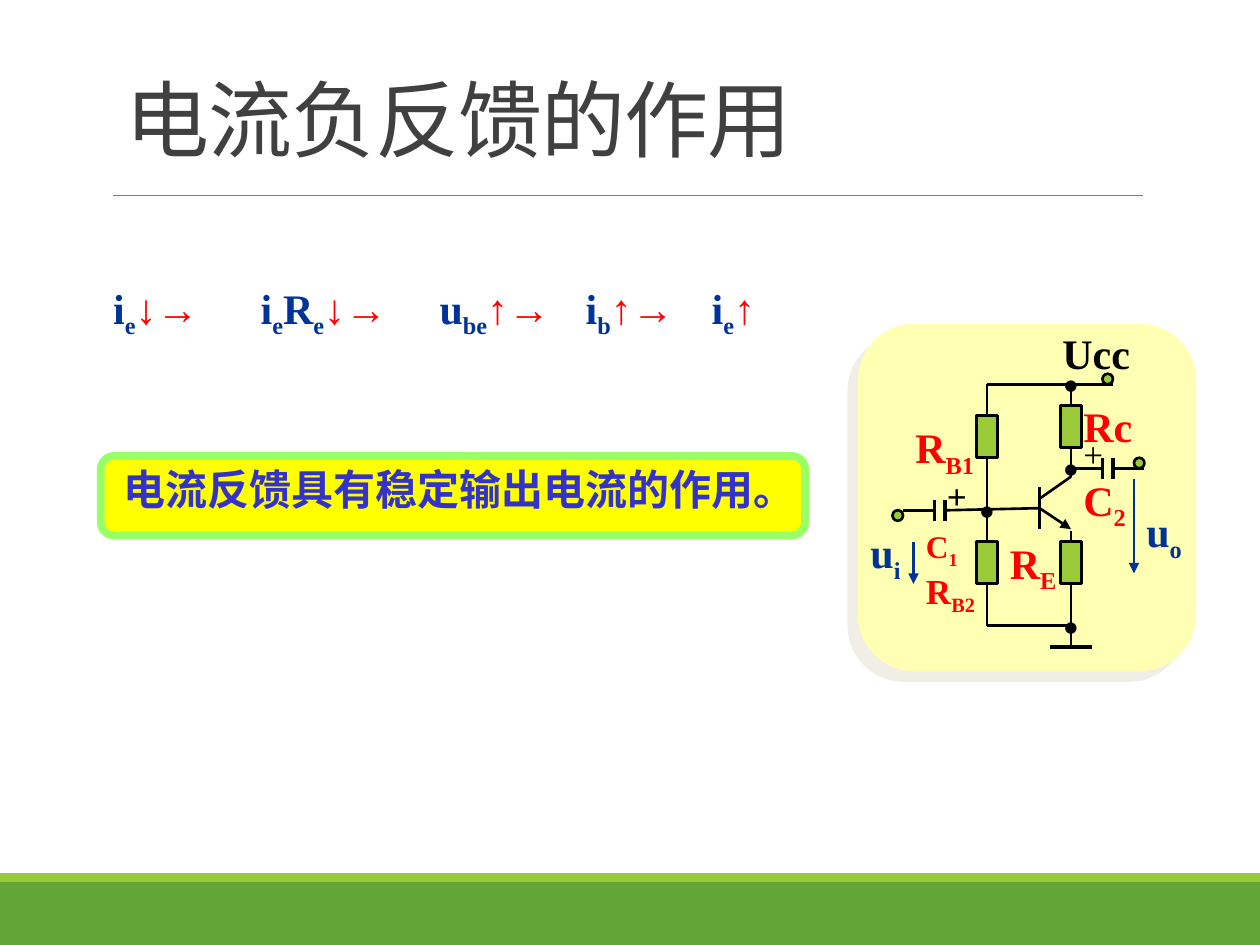
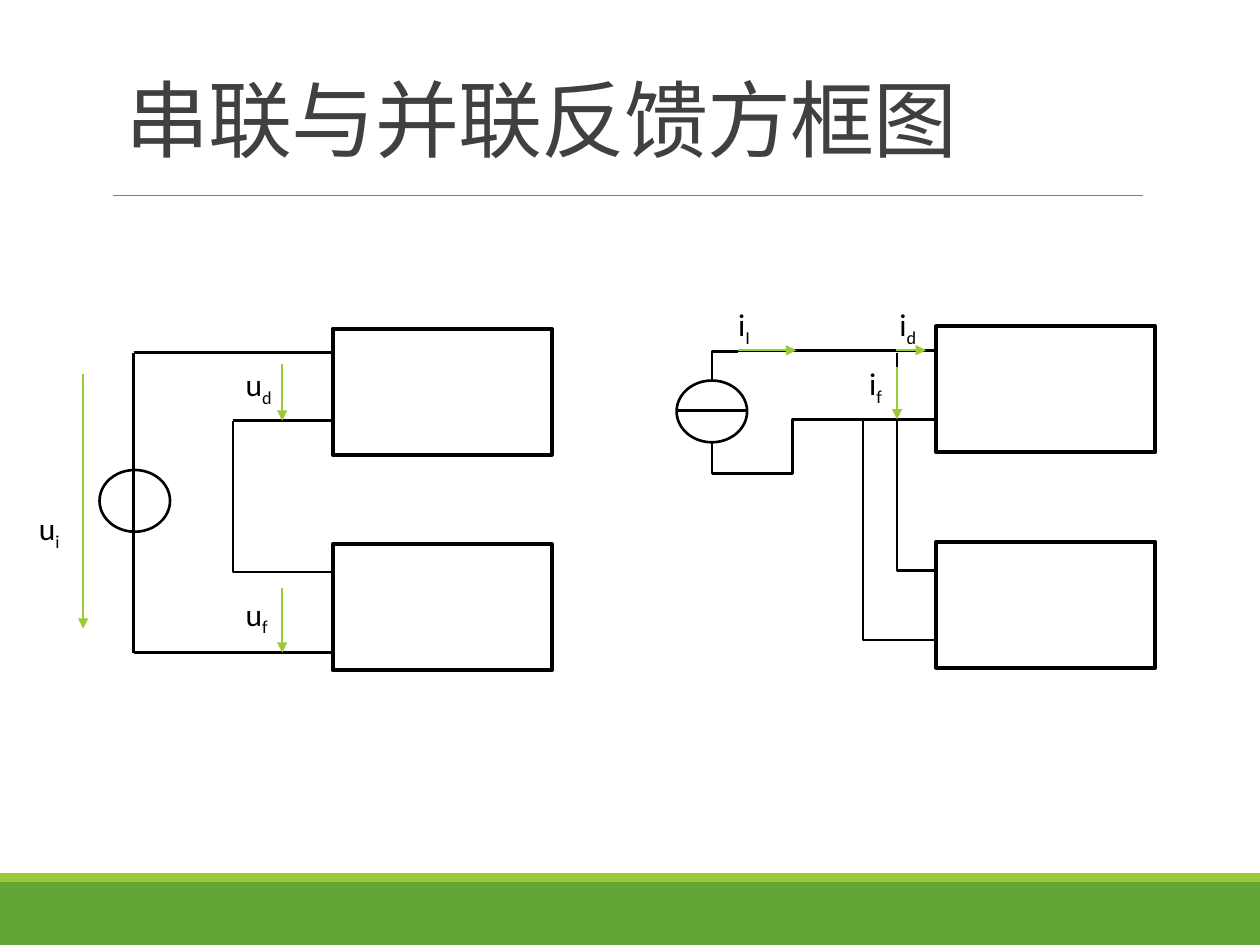
from lxml import etree
from pptx import Presentation
from pptx.dml.color import RGBColor
from pptx.enum.shapes import MSO_CONNECTOR, MSO_SHAPE
from pptx.enum.text import MSO_ANCHOR, MSO_AUTO_SIZE, PP_ALIGN
from pptx.oxml.ns import qn
from pptx.util import Inches, Pt

STRAIGHT, ELBOW = MSO_CONNECTOR.STRAIGHT, MSO_CONNECTOR.ELBOW
RECTANGLE, ROUNDED, OVAL = MSO_SHAPE.RECTANGLE, MSO_SHAPE.ROUNDED_RECTANGLE, MSO_SHAPE.OVAL
LEFT, CENTER = PP_ALIGN.LEFT, PP_ALIGN.CENTER
BOTTOM, TOP = MSO_ANCHOR.BOTTOM, MSO_ANCHOR.TOP
FIT_TEXT = MSO_AUTO_SIZE.SHAPE_TO_FIT_TEXT

BLACK = RGBColor(0x00, 0x00, 0x00)
RED = RGBColor(0xFF, 0x00, 0x00)
NAVY = RGBColor(0x00, 0x33, 0x99)
INDIGO = RGBColor(0x33, 0x33, 0xCC)
CHARCOAL = RGBColor(0x40, 0x40, 0x40)
GRAY = RGBColor(0x80, 0x80, 0x80)
GREEN = RGBColor(0x63, 0xA5, 0x37)
LIME = RGBColor(0x99, 0xCB, 0x38)
MINT = RGBColor(0x99, 0xFF, 0x66)
YELLOW = RGBColor(0xFF, 0xFF, 0x00)
CREAM = RGBColor(0xFF, 0xFF, 0xB3)

SERIF, SANS, CHINESE = "Times New Roman", "Calibri", "Noto Sans CJK SC"

PAGE = (0, 0, 1)
CIRCUIT = (7, 3.05, 1 / 12)
SERIES = (2.64, 2.61, 1)
SHUNT = (7.43, 2.59, 1)


def add_block(slide, grid, kind, box, fill=None, line=None, width=1.5):
    x, y, step = grid
    left, top, across, down = box
    shape = slide.shapes.add_shape(kind, Inches(x + left * step), Inches(y + top * step),
                                   Inches(across * step), Inches(down * step))
    shape.shadow.inherit = False
    if fill is None:
        shape.fill.background()
    else:
        shape.fill.solid()
        shape.fill.fore_color.rgb = fill
    if line is None:
        shape.line.fill.background()
    else:
        shape.line.color.rgb = line
        shape.line.width = Pt(width)
    return shape


def add_line(slide, grid, ends, color=BLACK, width=1.5, arrow=False, bend=None):
    x, y, step = grid
    x1, y1, x2, y2 = ends
    connector = slide.shapes.add_connector(
        STRAIGHT if bend is None else ELBOW,
        Inches(x + x1 * step), Inches(y + y1 * step),
        Inches(x + x2 * step), Inches(y + y2 * step))
    connector.line.color.rgb = color
    connector.line.width = Pt(width)
    if arrow:
        etree.SubElement(connector.line._get_or_add_ln(), qn("a:tailEnd"), type="triangle")
    properties = connector._element.spPr
    etree.SubElement(properties, qn("a:effectLst"))
    if bend is not None:
        adjustments = properties.find(qn("a:prstGeom")).get_or_add_avLst()
        etree.SubElement(adjustments, qn("a:gd"), name="adj1", fmla=f"val {round(bend * 100000)}")


presentation = Presentation()
presentation.slide_width = Inches(10)
presentation.slide_height = Inches(7.5)
blank = presentation.slide_layouts[6]
current_slide = presentation.slides.add_slide(blank)
diagram_slide = presentation.slides.add_slide(blank)

for slide, title in ((current_slide, "电流负反馈的作用"), (diagram_slide, "串联与并联反馈方框图")):
    add_block(slide, PAGE, RECTANGLE, (0, 7, 10, 0.5), GREEN)
    add_block(slide, PAGE, RECTANGLE, (0, 6.93, 10, 0.07), LIME)
    add_line(slide, PAGE, (0.9, 1.55, 9.07, 1.55), GRAY, 0.5)
    box = slide.shapes.add_textbox(Inches(0.9), Inches(0.31), Inches(8.25), Inches(1.08))
    box.text_frame.word_wrap = True
    box.text_frame.vertical_anchor = BOTTOM
    paragraph = box.text_frame.paragraphs[0]
    paragraph.line_spacing = 0.85
    run = paragraph.add_run()
    run.text = title
    run.font.size = Pt(48)
    run.font.name = CHINESE
    run.font.color.rgb = CHARCOAL
    run._r.get_or_add_rPr().set("spc", "-50")
    etree.SubElement(run._r.rPr, qn("a:ea"), typeface=CHINESE)

add_block(current_slide, PAGE, ROUNDED, (0.8, 3.62, 5.59, 0.63), YELLOW, MINT, 4.5)
card = add_block(current_slide, CIRCUIT, ROUNDED, (-2.28, -5.76, 32.2, 33.1), CREAM)
card_shadow = etree.SubElement(card._element.spPr.find(qn("a:effectLst")), qn("a:outerShdw"),
                               dist=str(Pt(8.5)), dir="8100000", algn="ctr", rotWithShape="0")
shadow_color = etree.SubElement(card_shadow, qn("a:srgbClr"), val="E2DFCC")
etree.SubElement(shadow_color, qn("a:alpha"), val="50000")

wires = [
    (18, 0, 18, 8.8), (10, 0, 10, 23), (10, 0, 22, 0), (10, 23, 18, 23), (18, 14, 18, 25),
    (2, 12, 5, 12), (6, 12, 15, 11.8), (18, 8, 21, 8), (22, 8, 25, 8),
    (15, 9.8, 15, 13.8), (18, 8.8, 15, 10.9),
]
for wire in wires:
    add_line(current_slide, CIRCUIT, wire)
add_line(current_slide, CIRCUIT, (15, 11.8, 18, 13.8), arrow=True)
plates = [(5, 11, 5, 13), (6, 11, 6, 13), (21, 7, 21, 9), (22, 7, 22, 9), (16, 25, 20, 25)]
for plate in plates:
    add_line(current_slide, CIRCUIT, plate, width=2.25)
for voltage in ((3, 15, 3, 19), (24, 9, 24, 18)):
    add_line(current_slide, CIRCUIT, voltage, NAVY, arrow=True)
for column, row in ((9, 3), (9, 15), (17, 2), (17, 15)):
    add_block(current_slide, CIRCUIT, RECTANGLE, (column, row, 2, 4), LIME, BLACK)
for column, row in ((1, 12), (21, -1), (24, 7)):
    add_block(current_slide, CIRCUIT, OVAL, (column, row, 1, 1), LIME, BLACK)

for grid in (SERIES, SHUNT):
    for top in (0, 1.71):
        add_block(diagram_slide, grid, RECTANGLE, (0, top, 1.74, 1), None, BLACK, 2.25)
for grid, left, top in ((SERIES, -1.85, 1.12), (SHUNT, -2.06, 0.43)):
    add_block(diagram_slide, grid, OVAL, (left, top, 0.56, 0.49), None, BLACK)

diagram_wires = [
    (SERIES, (-1.58, 0.19, 0, 0.19), None),
    (SERIES, (-0.79, 0.73, 0, 0.73), None),
    (SERIES, (-0.79, 0.73, 0, 1.93), 0),
    (SERIES, (-1.58, 2.57, 0, 2.57), None),
    (SERIES, (-1.58, 0.19, -1.58, 2.57), None),
    (SHUNT, (-1.57, 0.19, 0, 0.19), None),
    (SHUNT, (-0.78, 0.74, 0, 0.74), None),
    (SHUNT, (-2.06, 0.67, -1.5, 0.67), None),
    (SHUNT, (-0.31, 0.21, 0, 1.94), 0),
    (SHUNT, (-0.58, 0.74, 0, 2.49), 0),
    (SHUNT, (-1.78, 0.43, -1.57, 0.2), 0),
    (SHUNT, (-0.78, 0.74, -1.78, 1.17), 0.36),
    (SHUNT, (-1.78, 1.17, -1.78, 0.92), None),
]
for grid, ends, bend in diagram_wires:
    add_line(diagram_slide, grid, ends, bend=bend)
signal_arrows = [
    (SERIES, (-0.4, 0.28, -0.4, 0.73)),
    (SERIES, (-0.4, 2.06, -0.4, 2.57)),
    (SERIES, (-1.98, 0.36, -1.98, 2.38)),
    (SHUNT, (-1.57, 0.19, -1.11, 0.19)),
    (SHUNT, (-0.31, 0.32, -0.31, 0.74)),
    (SHUNT, (-0.32, 0.19, -0.08, 0.19)),
]
for grid, ends in signal_arrows:
    add_line(diagram_slide, grid, ends, LIME, 1, arrow=True)

labels = [
    (PAGE, 0.98, 3.68, 5.83, "电流反馈具有稳定输出电流的作用。", 24, INDIGO),
    (PAGE, 0.8, 2.19, 1.25, "i_e_↓→", 24, NAVY),
    (PAGE, 1.97, 2.19, 1.92, "i_e_R_e_↓→", 24, NAVY),
    (PAGE, 3.39, 2.19, 1.5, "u_be_↑→", 24, NAVY),
    (PAGE, 4.55, 2.19, 1.25, "i_b_↑→", 24, NAVY),
    (PAGE, 5.55, 2.19, 0.92, "i_e_↑", 24, NAVY),
    (CIRCUIT, -2.28, 13, 6, "u_i", 24, NAVY),
    (CIRCUIT, 24, 11, 6, "u_o", 24, NAVY),
    (CIRCUIT, 16, -6, 12, "Ucc", 24, BLACK),
    (CIRCUIT, 18, 1, 10, "Rc", 24, RED),
    (CIRCUIT, 2, 3, 10, "R_B1", 24, RED),
    (CIRCUIT, 3, 17, 9, "R_B2", 20, RED),
    (CIRCUIT, 11, 14, 9, "R_E", 24, RED),
    (CIRCUIT, 3, 13, 6, "C_1", 18, RED),
    (CIRCUIT, 18, 8, 8, "C_2", 24, RED),
    (CIRCUIT, 5, 8, 4, "+", 20, BLACK),
    (CIRCUIT, 18, 4, 4, "+", 20, BLACK),
    (CIRCUIT, 7, 9, 6, "•", 24, BLACK),
    (CIRCUIT, 15, -3, 6, "•", 24, BLACK),
    (CIRCUIT, 15, 5, 6, "•", 24, BLACK),
    (CIRCUIT, 15, 20, 6, "•", 24, BLACK),
    (SERIES, -0.79, 2.06, 0.39, "u_f", 18, BLACK),
    (SERIES, -0.79, 0.24, 0.42, "u_d", 18, BLACK),
    (SERIES, -2.43, 1.38, 0.37, "u_i", 18, BLACK),
    (SHUNT, -1.67, -0.22, 0.31, "i_I", 18, BLACK),
    (SHUNT, -0.63, 0.25, 0.31, "i_f", 18, BLACK),
    (SHUNT, -0.39, -0.22, 0.35, "i_d", 18, BLACK),
]
for grid, left, top, width, text, size, color in labels:
    on_diagram = grid in (SERIES, SHUNT)
    statement = color == INDIGO
    x, y, step = grid
    slide = diagram_slide if on_diagram else current_slide
    box = slide.shapes.add_textbox(Inches(x + left * step), Inches(y + top * step),
                                   Inches(width * step), Inches(0.1 + size / 60))
    frame = box.text_frame
    frame.word_wrap = not on_diagram
    frame.auto_size = FIT_TEXT
    frame.vertical_anchor = TOP
    if statement:
        frame.margin_left = frame.margin_right = frame.margin_top = frame.margin_bottom = 0
    paragraph = frame.paragraphs[0]
    paragraph.alignment = CENTER if text == "•" else LEFT
    font_name = CHINESE if statement else SANS if on_diagram else SERIF
    for index, piece in enumerate(text.split("_")):
        run = paragraph.add_run()
        run.text = piece
        run.font.size = Pt(size)
        run.font.name = font_name
        run.font.bold = not on_diagram and (grid, left, text) != (CIRCUIT, 18, "+")
        run.font.color.rgb = RED if piece[0] in "↓↑" else color
        etree.SubElement(run._r.rPr, qn("a:ea"), typeface=font_name)
        if index % 2:
            run._r.rPr.set("baseline", "-25000")

presentation.save("out.pptx")
